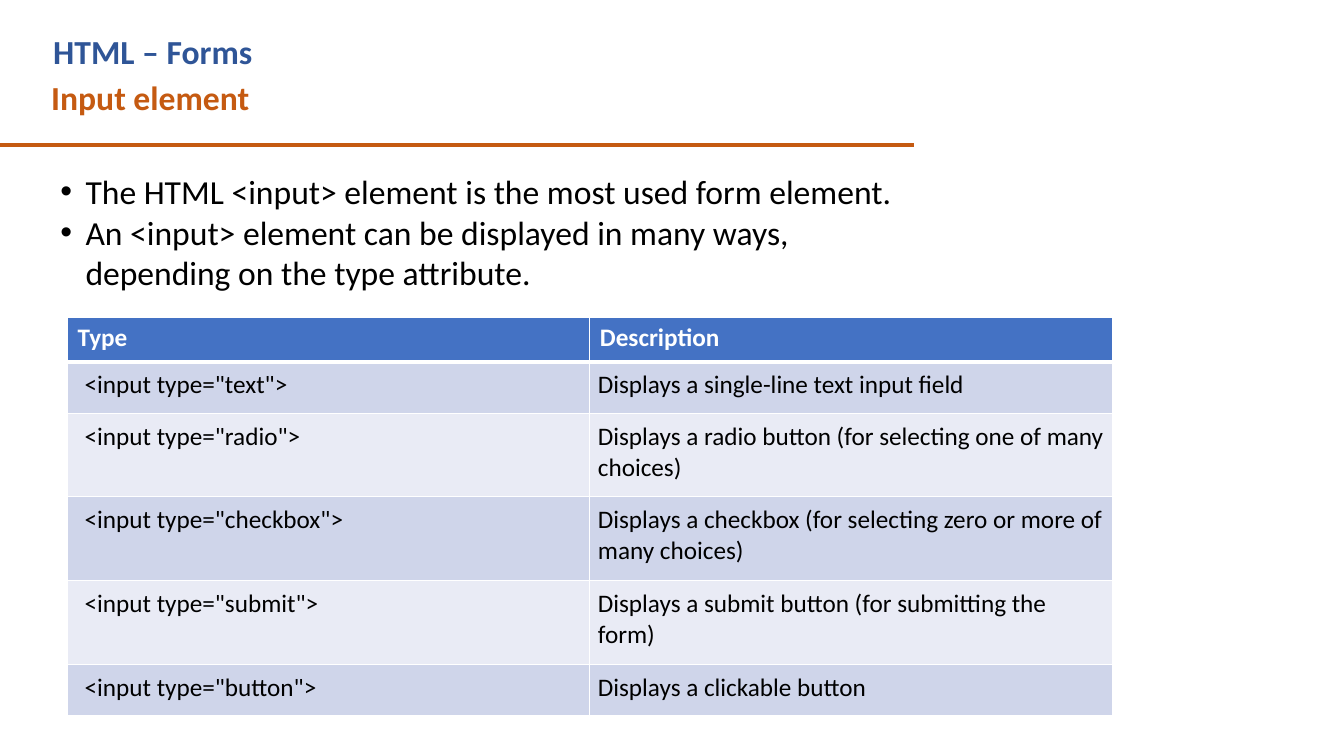
from lxml.etree import SubElement
from pptx import Presentation
from pptx.dml.color import RGBColor
from pptx.enum.shapes import MSO_CONNECTOR as Connector
from pptx.oxml.ns import qn
from pptx.util import Inches, Pt

FONT = "Calibri"
BLACK, WHITE = "000000", "FFFFFF"
BLUE, ORANGE = "2F5597", "C55A11"
HEADER_FILL, BAND_FILLS = "4472C4", ("CFD5EA", "E9EBF5")

BULLETS = [
    "The HTML <input> element is the most used form element.",
    "An <input> element can be displayed in many ways, depending on the type attribute.",
]
TABLE_ROWS = [
    ("Type", "Description"),
    ('<input type="text">', "Displays a single-line text input field"),
    ('<input type="radio">', "Displays a radio button (for selecting one of many choices)"),
    ('<input type="checkbox">', "Displays a checkbox (for selecting zero or more of many choices)"),
    ('<input type="submit">', "Displays a submit button (for submitting the form)"),
    ('<input type="button">', "Displays a clickable button"),
]
ROW_HEIGHTS = [0.44, 0.51, 0.83, 0.83, 0.83, 0.51]


def color(value):
    return RGBColor.from_string(value)


def write(paragraph, text, size, text_color, bold=False):
    run = paragraph.add_run()
    run.text = text
    for name, value in {"name": FONT, "size": Pt(size), "bold": bold}.items():
        setattr(run.font, name, value)
    run.font.color.rgb = color(text_color)


def add_text_box(slide, left, top, width, height):
    box = slide.shapes.add_textbox(*map(Inches, (left, top, width, height)))
    box.text_frame.word_wrap = True
    return box.text_frame


def add_heading(slide, text, left, top, width, text_color):
    frame = add_text_box(slide, left, top, width, 0.5)
    write(frame.paragraphs[0], text, 24, text_color, bold=True)


def add_bullets(slide, items, left, top, width, height):
    frame = add_text_box(slide, left, top, width, height)
    for index, item in enumerate(items):
        paragraph = frame.add_paragraph() if index else frame.paragraphs[0]
        properties = paragraph._p.get_or_add_pPr()
        properties.set("marL", str(Inches(0.75)))
        properties.set("indent", str(Inches(-0.25)))
        SubElement(properties, qn("a:buFont"), typeface="Arial")
        SubElement(properties, qn("a:buChar"), char="•")
        write(paragraph, item, 24, BLACK)


def add_rule(slide, left, right, top, line_color, width):
    line = slide.shapes.add_connector(
        Connector.STRAIGHT, Inches(left), Inches(top), Inches(right), Inches(top))
    line.line.color.rgb = color(line_color)
    line.line.width = Pt(width)
    SubElement(line._element.spPr, qn("a:effectLst"))


def set_borders(cell, widths):
    properties = cell._tc.get_or_add_tcPr()
    for side, width in widths.items():
        border = SubElement(properties, qn(f"a:ln{side}"), w=str(Pt(width)))
        fill = SubElement(border, qn("a:solidFill"))
        SubElement(fill, qn("a:srgbClr"), val=WHITE)


def format_cell(cell, text, row, column):
    header = row == 0
    # The header is ruled off from the body by a thicker line
    set_borders(cell, {"L": 1, "R": 1, "T": 3 if row == 1 else 1, "B": 3 if header else 1})
    cell.fill.solid()
    cell.fill.fore_color.rgb = color(HEADER_FILL if header else BAND_FILLS[(row - 1) % 2])
    if not header:
        margins = {"left": 0.08 if column else 0.17, "top": 0.08, "right": 0.08, "bottom": 0.08}
        for side, margin in margins.items():
            setattr(cell, f"margin_{side}", Inches(margin))
    write(cell.text_frame.paragraphs[0], text, 18, WHITE if header else BLACK, bold=header)


def add_input_table(slide, left, top, column_width):
    columns = len(TABLE_ROWS[0])
    table = slide.shapes.add_table(
        len(TABLE_ROWS), columns, Inches(left), Inches(top),
        Inches(column_width * columns), Inches(sum(ROW_HEIGHTS))).table
    for column in table.columns:
        column.width = Inches(column_width)
    for row, texts in enumerate(TABLE_ROWS):
        table.rows[row].height = Inches(ROW_HEIGHTS[row])
        for column, text in enumerate(texts):
            format_cell(table.cell(row, column), text, row, column)


def main():
    presentation = Presentation()
    presentation.slide_width = Inches(13.33)
    presentation.slide_height = Inches(7.5)
    slide = presentation.slides.add_slide(presentation.slide_layouts[6])

    # Body text
    add_bullets(slide, BULLETS, 0, 1.65, 9.16, 4.76)

    # Headings and the rule below them
    add_heading(slide, "Input element", 0.41, 0.71, 8.75, ORANGE)
    add_rule(slide, -0.01, 9.07, 1.44, ORANGE, 3)
    add_heading(slide, "HTML – Forms", 0.43, 0.26, 8.2, BLUE)

    # Input types
    add_input_table(slide, 0.67, 3.15, 5.18)

    presentation.save("out.pptx")


if __name__ == "__main__":
    main()
